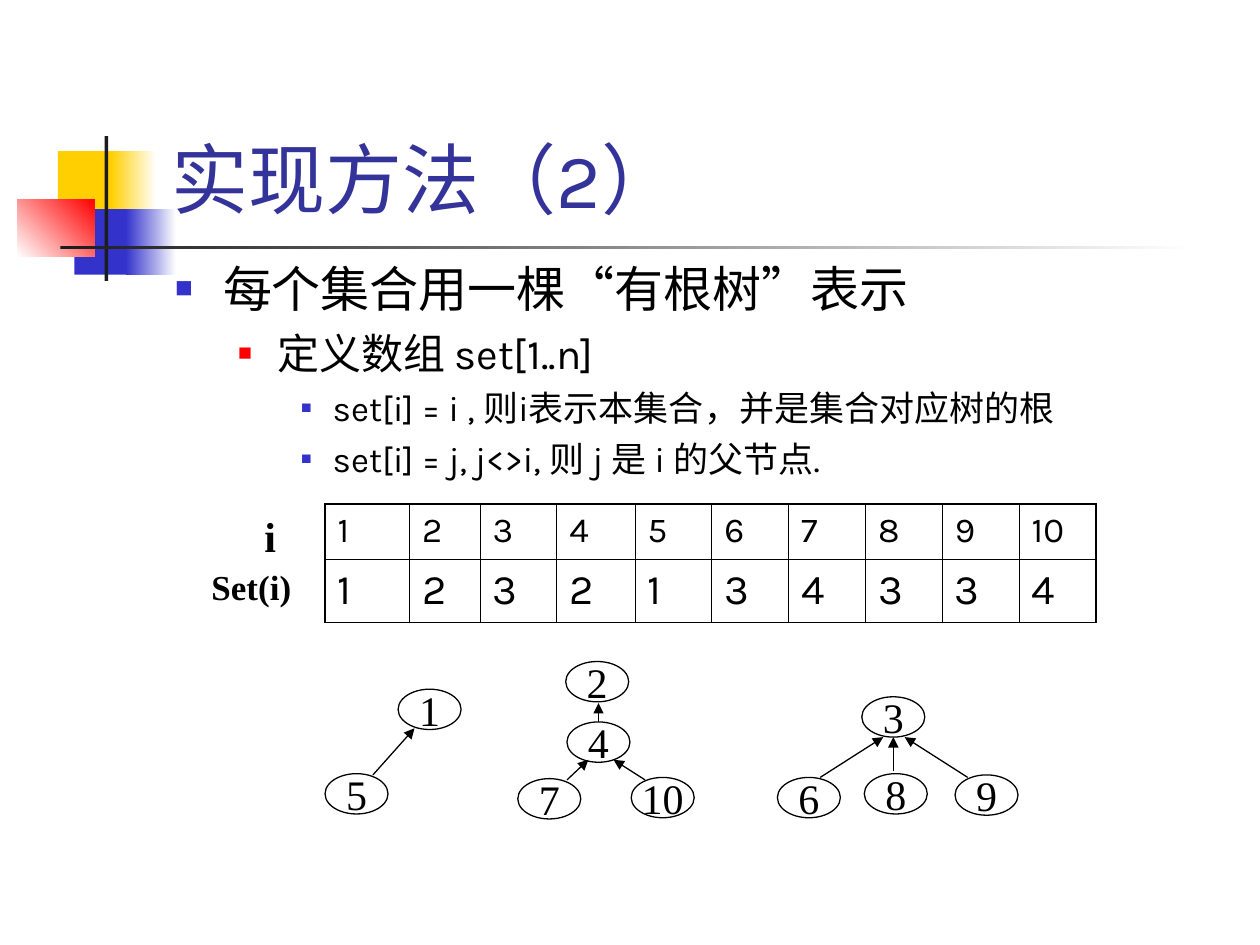
import lxml.etree
import pptx
import pptx.dml.color
import pptx.enum.shapes
import pptx.enum.text
import pptx.oxml.ns
import pptx.util

Inches = pptx.util.Inches
Pt = pptx.util.Pt
RGBColor = pptx.dml.color.RGBColor
Shape = pptx.enum.shapes.MSO_SHAPE
Anchor = pptx.enum.text.MSO_ANCHOR
Align = pptx.enum.text.PP_ALIGN
AutoSize = pptx.enum.text.MSO_AUTO_SIZE
qn = pptx.oxml.ns.qn

BLACK = RGBColor(0x00, 0x00, 0x00)
WHITE = RGBColor(0xFF, 0xFF, 0xFF)
YELLOW = RGBColor(0xFF, 0xCF, 0x01)
BLUE = RGBColor(0x33, 0x33, 0xCC)
RED = RGBColor(0xFF, 0x00, 0x00)
DARK = RGBColor(0x1C, 0x1C, 0x1C)
TITLE_BLUE = RGBColor(0x33, 0x33, 0x99)

SANS = "Karla"
SERIF = "Times New Roman"
NODE_WIDTH, NODE_HEIGHT = 0.5, 0.32

LEVELS = [
    dict(size=28, left=0.38, hang=0.38, before=7, color=BLUE, scale=60),
    dict(size=24, left=0.81, hang=0.31, before=6, color=RED, scale=55),
    dict(size=20, left=1.25, hang=0.25, before=5, color=BLUE, scale=50),
]
BULLETS = [
    (0, [("每个集合用一棵", SANS), ("“", SERIF), ("有根树", SANS), ("”", SERIF), ("表示", SANS)]),
    (1, [("定义数组 set[1..n]", SANS)]),
    (2, [("set[i] = i , 则i表示本集合，并是集合对应树的根", SANS)]),
    (2, [("set[i] = j, j<>i, 则 j 是 i 的父节点.", SANS)]),
]

INDICES = range(1, 11)
PARENTS = [1, 2, 3, 2, 1, 3, 4, 3, 3, 4]
COLUMN_WIDTHS = [0.67, 0.56, 0.61, 0.62] + [0.61] * 6
ROW_STYLES = [(0.44, 20, 5), (0.5, 24, 6)]

NODES = {
    1: (3.16, 5.47), 5: (2.58, 6.14),
    2: (4.49, 5.25), 4: (4.5, 5.73), 7: (4.11, 6.18), 10: (5.01, 6.17),
    3: (6.84, 5.53), 6: (6.17, 6.17), 8: (6.86, 6.14), 9: (7.58, 6.15),
}
ARROWS = [
    (2.96, 6.15, 3.29, 5.78),
    (4.5, 6.19, 4.67, 6.03), (5.12, 6.19, 4.87, 6.03), (4.75, 5.73, 4.75, 5.58),
    (6.51, 6.17, 7.01, 5.85), (7.09, 6.12, 7.09, 5.85), (7.68, 6.17, 7.18, 5.85),
]


def add_xml(parent, tag, **attributes):
    return lxml.etree.SubElement(parent, qn(tag), attributes)


class SlideBuilder:
    def __init__(self, slide):
        self.slide = slide
        self.shapes = slide.shapes

    def style(self, span, size, color=BLACK, font=SANS, bold=False):
        span.font.name = font
        span.font.size = Pt(size)
        span.font.color.rgb = color
        span.font.bold = bold

    def place(self, holder, left, top, width, height):
        holder.left, holder.top = Inches(left), Inches(top)
        holder.width, holder.height = Inches(width), Inches(height)
        holder.element.getparent().append(holder.element)
        holder.text_frame.auto_size = AutoSize.NONE

    def block(self, left, top, width, height, start, end=None, angle=0):
        box = self.shapes.add_shape(
            Shape.RECTANGLE, Inches(left), Inches(top), Inches(width), Inches(height))
        box.shadow.inherit = False
        box.line.fill.background()
        if end is None:
            box.fill.solid()
            box.fill.fore_color.rgb = start
            return
        box.fill.gradient()
        box.fill.gradient_angle = angle
        for stop, color, position in zip(box.fill.gradient_stops, (start, end), (0, 1)):
            stop.color.rgb = color
            stop.position = position

    def title(self, text, *bounds):
        holder = self.shapes.title
        self.place(holder, *bounds)
        holder.text_frame.text = text
        holder.text_frame.vertical_anchor = Anchor.BOTTOM
        para = holder.text_frame.paragraphs[0]
        para.alignment = Align.LEFT
        self.style(para.runs[0], 44, TITLE_BLUE)

    def bullets(self, items, *bounds):
        holder = self.slide.placeholders[1]
        self.place(holder, *bounds)
        frame = holder.text_frame
        for number, (level, pieces) in enumerate(items):
            para = frame.add_paragraph() if number else frame.paragraphs[0]
            look = LEVELS[level]
            para.level = level
            para.space_before = Pt(look["before"])
            settings = para._p.get_or_add_pPr()
            settings.set("marL", str(Inches(look["left"])))
            settings.set("indent", str(-Inches(look["hang"])))
            color = add_xml(settings, "a:buClr")
            add_xml(color, "a:srgbClr", val=str(look["color"]))
            add_xml(settings, "a:buSzPct", val=str(look["scale"] * 1000))
            add_xml(settings, "a:buChar", char="■")
            for text, font in pieces:
                span = para.add_run()
                span.text = text
                self.style(span, look["size"], font=font)

    def borders(self, cell, widths):
        settings = cell._tc.get_or_add_tcPr()
        for position, (side, width) in enumerate(zip("LRTB", widths)):
            line = lxml.etree.Element(qn(f"a:ln{side}"), w=str(Pt(width)))
            add_xml(add_xml(line, "a:solidFill"), "a:srgbClr", val=str(BLACK))
            settings.insert(position, line)

    def table(self, left, top, rows):
        height = sum(style[0] for style in ROW_STYLES)
        table = self.shapes.add_table(
            len(rows), len(COLUMN_WIDTHS), Inches(left), Inches(top),
            Inches(sum(COLUMN_WIDTHS)), Inches(height)).table
        table.first_row = table.horz_banding = False
        for column, width in zip(table.columns, COLUMN_WIDTHS):
            column.width = Inches(width)
        last = len(COLUMN_WIDTHS) - 1
        for row, values, (height, size, before) in zip(table.rows, rows, ROW_STYLES):
            row.height = Inches(height)
            for number, (cell, value) in enumerate(zip(row.cells, values)):
                cell.text_frame.text = str(value)
                cell.fill.background()
                para = cell.text_frame.paragraphs[0]
                para.space_before = Pt(before)
                self.style(para.runs[0], size)
                self.borders(cell, (1.08 if number == 0 else 0.45,
                                    1.08 if number == last else 0.45, 1.08, 1.08))

    def label(self, text, left, top, width, height, size):
        box = self.shapes.add_textbox(
            Inches(left), Inches(top), Inches(width), Inches(height))
        box.text_frame.text = text
        box.text_frame.word_wrap = True
        box.text_frame.auto_size = AutoSize.SHAPE_TO_FIT_TEXT
        self.style(box.text_frame.paragraphs[0].runs[0], size, font=SERIF, bold=True)

    def node(self, text, left, top):
        oval = self.shapes.add_shape(
            Shape.OVAL, Inches(left), Inches(top), Inches(NODE_WIDTH), Inches(NODE_HEIGHT))
        oval.shadow.inherit = False
        oval.fill.solid()
        oval.fill.fore_color.rgb = WHITE
        oval.line.color.rgb = BLACK
        oval.line.width = Pt(0.75)
        frame = oval.text_frame
        frame.text = text
        frame.word_wrap = False
        frame.vertical_anchor = Anchor.MIDDLE
        frame.paragraphs[0].alignment = Align.CENTER
        self.style(frame.paragraphs[0].runs[0], 24, font=SERIF)

    def arrow(self, *ends):
        line = self.shapes.add_connector(
            pptx.enum.shapes.MSO_CONNECTOR.STRAIGHT, *map(Inches, ends))
        line.line.color.rgb = BLACK
        line.line.width = Pt(0.75)
        settings = line.element.spPr
        add_xml(settings.find(qn("a:ln")), "a:tailEnd", type="triangle")
        add_xml(settings, "a:effectLst")


def main():
    deck = pptx.Presentation()
    deck.slide_width, deck.slide_height = Inches(10), Inches(7.5)
    page = SlideBuilder(deck.slides.add_slide(deck.slide_layouts[1]))

    page.block(0.46, 1.2, 0.48, 0.52, YELLOW)
    page.block(0.88, 1.2, 0.36, 0.52, YELLOW, WHITE)
    page.block(0.59, 1.66, 0.46, 0.52, BLUE)
    page.block(1, 1.66, 0.4, 0.52, BLUE, WHITE)
    page.block(0.14, 1.58, 0.61, 0.46, WHITE, RED, angle=45)
    page.block(0.83, 1.08, 0.03, 1.15, DARK)
    page.block(0.48, 1.95, 9, 0.03, DARK, WHITE)

    page.title("实现方法（2）", 1.26, 0.23, 8.52, 1.6)
    page.bullets(BULLETS, 1.29, 2, 7.71, 1.92)
    page.table(2.58, 4, [INDICES, PARENTS])
    page.label("i", 2, 4, 0.29, 0.5, 24)
    page.label("Set(i)", 1.58, 4.44, 0.92, 0.44, 20)

    for number, (left, top) in NODES.items():
        page.node(str(number), left, top)
    for ends in ARROWS:
        page.arrow(*ends)

    deck.save("out.pptx")


if __name__ == "__main__":
    main()
